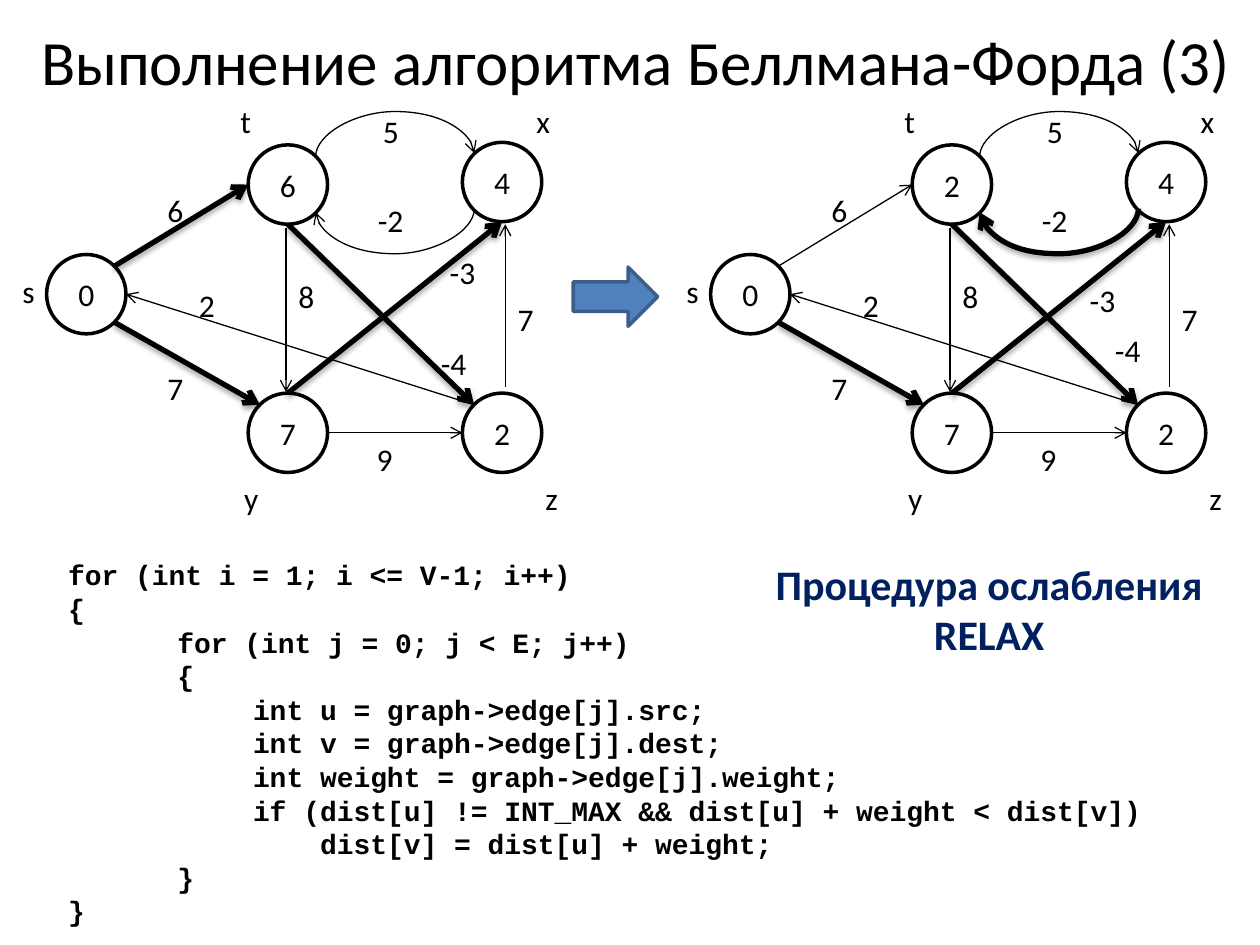
from math import cos, radians, sin

from lxml import etree
from pptx import Presentation
from pptx import util as u
from pptx.dml.color import RGBColor
from pptx.enum import shapes, text
from pptx.oxml import ns

BLACK = RGBColor(0x00, 0x00, 0x00)
WHITE = RGBColor(0xFF, 0xFF, 0xFF)
NAVY = RGBColor(0x00, 0x20, 0x60)
BLUE = RGBColor(0x4F, 0x81, 0xBD)
DARK_BLUE = RGBColor(0x3A, 0x5F, 0x8C)

# The slide is a grid of 100 columns and 75 rows
SLIDE_W, SLIDE_H = u.Inches(10), u.Inches(7.5)
COL, ROW = SLIDE_W / 100, SLIDE_H / 75
GRAPH_SHIFT = 52.7
NODE_SIZE = 6.3
THIN, THICK = 0.75, 3

# Left column and top row of each vertex circle
NODES = {"s": (3.7, 20.2), "t": (19.7, 11.5), "y": (19.7, 31.2),
         "x": (36.7, 11.3), "z": (36.7, 31.2)}
NODE_NAMES = {"s": (0.8, 21.1), "t": (18.1, 7.6), "x": (41.6, 7.6),
              "y": (18.4, 37.5), "z": (42.3, 37.5)}

# Circle connection sites, counted anticlockwise from the top
TOP, TOP_LEFT, LEFT, BOTTOM_LEFT, BOTTOM, BOTTOM_RIGHT, RIGHT, TOP_RIGHT = range(8)
EDGES = {"st": (TOP_RIGHT, LEFT), "sy": (BOTTOM_RIGHT, TOP_LEFT),
         "yz": (RIGHT, LEFT), "yx": (TOP, BOTTOM),
         "zs": (TOP_LEFT, RIGHT), "tz": (BOTTOM, TOP_LEFT)}
FREE_EDGES = [((22.7, 18.1), (22.7, 31.1)), ((40.1, 30.7), (40.1, 17.8))]
# Top row of each arc's frame and whether it is flipped
ARCS = {"tx": (6.0, True), "xt": (10.4, False)}
WEIGHTS = [("6", 12.3, 14.7), ("7", 12.3, 28.8), ("5", 29.4, 8.4),
           ("9", 28.9, 34.4), ("2", 14.8, 22.2), ("7", 40.1, 23.3),
           ("8", 22.7, 21.5), ("-2", 29, 15.5)]

# Values, thick edges and moved weights before and after the step
BEFORE = ({"s": 0, "t": 6, "y": 7, "x": 4, "z": 2}, {"st", "sy", "yx", "tz"},
          [("-4", 34, 26.8), ("-3", 34.7, 19.6)])
AFTER = ({"s": 0, "t": 2, "y": 7, "x": 4, "z": 2}, {"sy", "yx", "tz", "xt"},
         [("-4", 34.8, 25.8), ("-3", 32.8, 21.8)])

# Indent in columns and the code line
CODE = [(1.33, "for (int i = 1; i <= V-1; i++)"),
        (1.33, "{"),
        (10, "for (int j = 0; j < E; j++)"),
        (10, "{"),
        (16, "int u = graph->edge[j].src;"),
        (16, "int v = graph->edge[j].dest;"),
        (16, "int weight = graph->edge[j].weight;"),
        (16, "if (dist[u] != INT_MAX && dist[u] + weight < dist[v])"),
        (21.33, "dist[v] = dist[u] + weight;"),
        (10, "}"),
        (1.33, "}")]


def grid(*lengths):
    """Turn alternating columns and rows into slide lengths."""
    return [u.Emu(round(n * (ROW if i % 2 else COL))) for i, n in enumerate(lengths)]


def format_text(frame, size, color=BLACK, font="Calibri", bold=False, align=None):
    for paragraph in frame.paragraphs:
        paragraph.alignment = align
        for run in paragraph.runs:
            run.font.size, run.font.name = u.Pt(size), font
            run.font.bold, run.font.color.rgb = bold, color


def add_text(parent, content, box, size=18, wrap=False, **style):
    frame = parent.add_textbox(*grid(*box)).text_frame
    frame.text = content
    frame.word_wrap = wrap
    frame.auto_size = text.MSO_AUTO_SIZE.SHAPE_TO_FIT_TEXT
    format_text(frame, size, **style)
    return frame


def add_filled(parent, kind, box, fill, outline):
    shape = parent.add_shape(kind, *grid(*box))
    shape.shadow.inherit = False
    shape.fill.solid()
    shape.fill.fore_color.rgb = fill
    shape.line.color.rgb = outline
    shape.line.width = u.Pt(2)
    return shape


def add_node(graph, value, left, top):
    node = add_filled(graph, shapes.MSO_SHAPE.OVAL,
                      (left, top, NODE_SIZE, NODE_SIZE), WHITE, BLACK)
    frame = node.text_frame
    frame.text = str(value)
    frame.vertical_anchor = text.MSO_ANCHOR.MIDDLE
    format_text(frame, 18, align=text.PP_ALIGN.CENTER)
    return node


def add_xml(parent, tag, **attributes):
    return etree.SubElement(parent, ns.qn(tag), attributes)


def add_edge(graph, start, end, thick=False, kind=shapes.MSO_CONNECTOR.STRAIGHT):
    edge = graph.add_connector(kind, *grid(*start, *end))
    edge.line.color.rgb = BLACK
    edge.line.width = u.Pt(THICK if thick else THIN)
    add_xml(edge.line._get_or_add_ln(), "a:tailEnd", type="arrow")
    effects = add_xml(edge._element.spPr, "a:effectLst")
    if thick:
        shadow = add_xml(effects, "a:outerShdw", blurRad="40000", dist="23000",
                         dir="5400000", rotWithShape="0")
        add_xml(add_xml(shadow, "a:srgbClr", val=str(BLACK)), "a:alpha", val="35000")
    return edge


def glue(edge, *ends):
    joints = edge._element.nvCxnSpPr.cNvCxnSpPr
    for tag, (node, site) in zip(("a:stCxn", "a:endCxn"), ends):
        add_xml(joints, tag, id=str(node.shape_id), idx=str(site))


def site_point(name, site):
    radius, angle = NODE_SIZE / 2, radians(90 + 45 * site)
    left, top = NODES[name]
    return left + radius * (1 + cos(angle)), top + radius * (1 - sin(angle))


def add_arc(graph, top, flipped, thick):
    left, width, height = 31.2, 0.3, 12.6
    arc = add_edge(graph, (left, top), (left + width, top + height), thick,
                   shapes.MSO_CONNECTOR.CURVE)
    frame = arc._element.spPr.find(ns.qn("a:xfrm"))
    frame.set("rot", "5400000")
    if flipped:
        frame.set("flipH", "1")
        frame.set("flipV", "1")
    guides = arc._element.spPr.find(ns.qn("a:prstGeom")).find(ns.qn("a:avLst"))
    add_xml(guides, "a:gd", name="adj1", fmla="val 1200000")


def add_graph(slide, shift, values, thick_edges, moved_weights):
    group = slide.shapes.add_group_shape()
    graph = group.shapes
    nodes = {name: add_node(graph, values[name], *NODES[name]) for name in NODES}
    for pair, sites in EDGES.items():
        edge = add_edge(graph, *map(site_point, pair, sites), pair in thick_edges)
        glue(edge, *((nodes[name], site) for name, site in zip(pair, sites)))
    for start, end in FREE_EDGES:
        add_edge(graph, start, end)
    for pair, (top, flipped) in ARCS.items():
        add_arc(graph, top, flipped, pair in thick_edges)
    for weight, left, top in WEIGHTS + moved_weights:
        add_text(graph, weight, (left, top, 2.5 + 0.8 * len(weight), 4))
    for name, place in NODE_NAMES.items():
        add_text(graph, name, (*place, 3, 4))
    group.left += grid(shift)[0]


def add_title(slide):
    title = slide.shapes.title
    title.left, title.top, title.width, title.height = grid(2, 1.3, 96.9, 6.3)
    frame = title.text_frame
    frame.text = "Выполнение алгоритма Беллмана-Форда (3)"
    frame.auto_size = text.MSO_AUTO_SIZE.NONE
    frame.vertical_anchor = text.MSO_ANCHOR.TOP
    format_text(frame, 36, align=text.PP_ALIGN.CENTER)


def add_code(slide):
    listing = add_text(slide.shapes, "\n".join(line for _, line in CODE),
                       (3.1, 43.8, 92.9, 30.6), 16, wrap=True,
                       font="Courier New", bold=True)
    for paragraph, (indent, _) in zip(listing.paragraphs, CODE):
        paragraph._p.get_or_add_pPr().set("marL", str(grid(indent)[0]))


def main():
    deck = Presentation()
    deck.slide_width, deck.slide_height = SLIDE_W, SLIDE_H
    slide = deck.slides.add_slide(deck.slide_layouts[5])

    # Title, code and its caption
    add_code(slide)
    add_title(slide)
    add_text(slide.shapes, "Процедура ослабления\nRELAX", (60.4, 43.8, 36.2, 9.1),
             24, color=NAVY, bold=True, align=text.PP_ALIGN.CENTER)

    # Graph before and after the step
    add_filled(slide.shapes, shapes.MSO_SHAPE.RIGHT_ARROW,
               (45.5, 21.2, 6.7, 4.7), BLUE, DARK_BLUE)
    add_graph(slide, 0, *BEFORE)
    add_graph(slide, GRAPH_SHIFT, *AFTER)

    deck.save("out.pptx")


if __name__ == "__main__":
    main()
